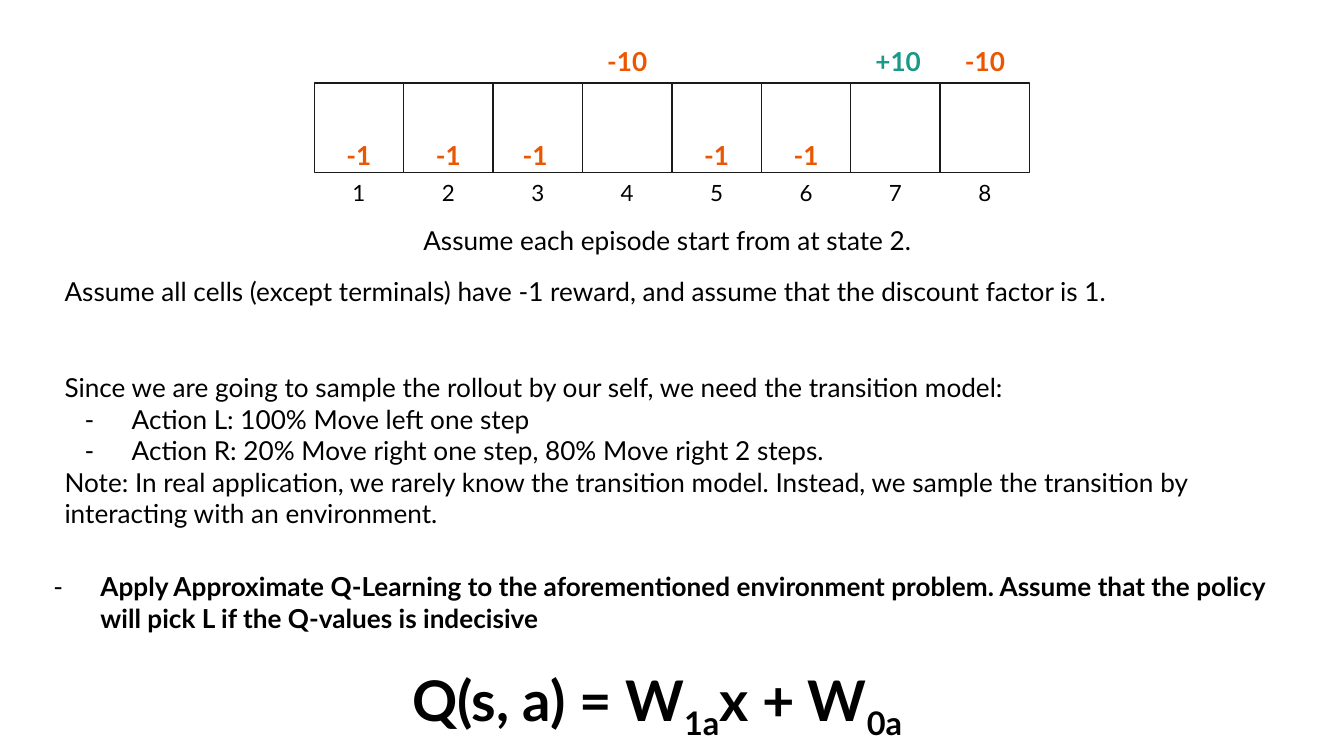
from lxml.etree import SubElement
from pptx import Presentation
from pptx.dml.color import RGBColor
from pptx.enum.shapes import MSO_SHAPE as Shape
from pptx.enum.text import MSO_ANCHOR as Anchor, PP_ALIGN as Align
from pptx.oxml.ns import qn
from pptx.util import Cm, Pt

BLACK = RGBColor(0x00, 0x00, 0x00)
OUTLINE = RGBColor(0x1A, 0x1A, 0x1A)
ORANGE = RGBColor(0xEB, 0x56, 0x00)
TEAL = RGBColor(0x1A, 0x99, 0x88)

SLIDE_WIDTH, SLIDE_HEIGHT = 25.4, 14.29
CELL = 1.69
STATES = 8
GRID_LEFT = (SLIDE_WIDTH - STATES * CELL) / 2
GRID_TOP = 1.57
STEP_REWARD_TOP, TERMINAL_REWARD_TOP = 2.59, 0.81

# State: (reward, colour, sideways shift)
STEP_REWARDS = {state: ("-1", ORANGE, 0) for state in (1, 2, 5, 6)}
STEP_REWARDS[3] = ("-1", ORANGE, -0.05)
TERMINAL_REWARDS = {4: ("-10", ORANGE, 0), 7: ("+10", TEAL, 0.05),
                    8: ("-10", ORANGE, 0)}


class SlideWriter:
    """Draws on one slide in a single font; lengths are in centimetres."""

    font = "Lato"
    inset = Cm(0.25)

    def __init__(self, slide):
        self.slide = slide

    def cell(self, left, top):
        square = self.slide.shapes.add_shape(
            Shape.RECTANGLE, Cm(left), Cm(top), Cm(CELL), Cm(CELL))
        square.shadow.inherit = False
        square.fill.background()
        square.line.color.rgb = OUTLINE
        square.line.width = Pt(0.75)

    def box(self, left, top, width, height, anchor=Anchor.TOP):
        frame = self.slide.shapes.add_textbox(
            Cm(left), Cm(top), Cm(width), Cm(height)).text_frame
        frame.word_wrap = True
        frame.vertical_anchor = anchor
        frame.margin_left = frame.margin_right = self.inset
        frame.margin_top = frame.margin_bottom = self.inset
        return frame

    def paragraph(self, frame, *parts, size=14, color=BLACK, bold=False,
                  align=Align.LEFT, dash=False, before=0):
        """Fill the empty first paragraph or add one; odd parts are subscripts."""
        first = frame.paragraphs[0]
        line = frame.add_paragraph() if first.runs else first
        line.alignment = align
        if before:
            line.space_before = Pt(before)
        if dash:
            self.dash(line)
        for index, part in enumerate(parts):
            run = line.add_run()
            run.text = part
            run.font.name = self.font
            run.font.size = Pt(size)
            run.font.bold = bold
            run.font.color.rgb = color
            if index % 2:
                run.font._element.set("baseline", "-25000")

    def dash(self, line):
        properties = line._p.get_or_add_pPr()
        properties.set("marL", str(Cm(1.27)))
        properties.set("indent", str(Cm(-0.89)))
        bullet_color = SubElement(properties, qn("a:buClr"))
        SubElement(bullet_color, qn("a:srgbClr"), val=str(BLACK))
        SubElement(properties, qn("a:buFont"), typeface=self.font)
        SubElement(properties, qn("a:buChar"), char="-")

    def label(self, text, left, top, height, **style):
        frame = self.box(left, top, CELL, height, Anchor.MIDDLE)
        self.paragraph(frame, text, align=Align.CENTER, **style)


def draw_grid(writer):
    lefts = {n: GRID_LEFT + (n - 1) * CELL for n in range(1, STATES + 1)}
    for left in lefts.values():
        writer.cell(left, GRID_TOP)
    for state, left in lefts.items():
        writer.label(str(state), left, 3.33, 0.61, size=12)
    for top, rewards in ((TERMINAL_REWARD_TOP, TERMINAL_REWARDS),
                         (STEP_REWARD_TOP, STEP_REWARDS)):
        for state, (reward, color, shift) in rewards.items():
            writer.label(reward, lefts[state] + shift, top, 0.69,
                         color=color, bold=True)


def draw_text(writer):
    start = writer.box(7.75, 3.99, 9.91, 1.24)
    writer.paragraph(start, "Assume each episode start from at state 2.")

    rewards = writer.box(0.97, 4.95, 23.44, 1.12)
    writer.paragraph(rewards, "Assume all cells (except terminals) have -1 reward, "
                     "and assume that the discount factor is 1.")

    model = writer.box(0.97, 6.78, 23.44, 3.05)
    writer.paragraph(model, "Since we are going to sample the rollout by our self, "
                     "we need the transition model:")
    for action in ("Action L: 100% Move left one step",
                   "Action R: 20% Move right one step, 80% Move right 2 steps."):
        writer.paragraph(model, action, dash=True)
    writer.paragraph(model, "Note: In real application, we rarely know the transition "
                     "model. Instead, we sample the transition by interacting with "
                     "an environment.")

    task = writer.box(0.38, 10.54, 24.08, 3.58)
    writer.paragraph(task, "Apply Approximate Q-Learning to the aforementioned "
                     "environment problem. Assume that the policy will pick L if "
                     "the Q-values is indecisive", bold=True, dash=True)
    writer.paragraph(task, "Q(s, a) = W", "1a", "x + W", "0a", size=30, bold=True,
                     align=Align.CENTER, before=17)


def main():
    deck = Presentation()
    deck.slide_width, deck.slide_height = Cm(SLIDE_WIDTH), Cm(SLIDE_HEIGHT)
    writer = SlideWriter(deck.slides.add_slide(deck.slide_layouts[6]))
    draw_grid(writer)
    draw_text(writer)
    deck.save("out.pptx")


if __name__ == "__main__":
    main()
